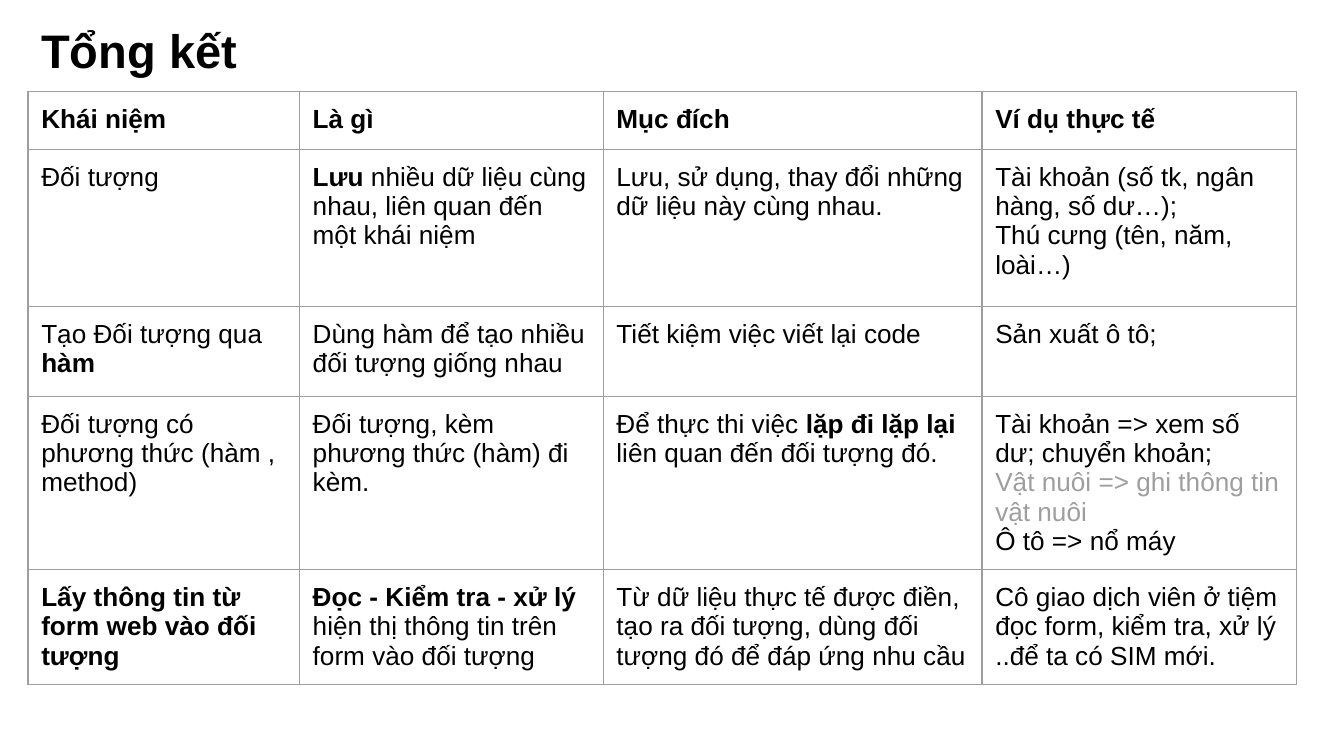
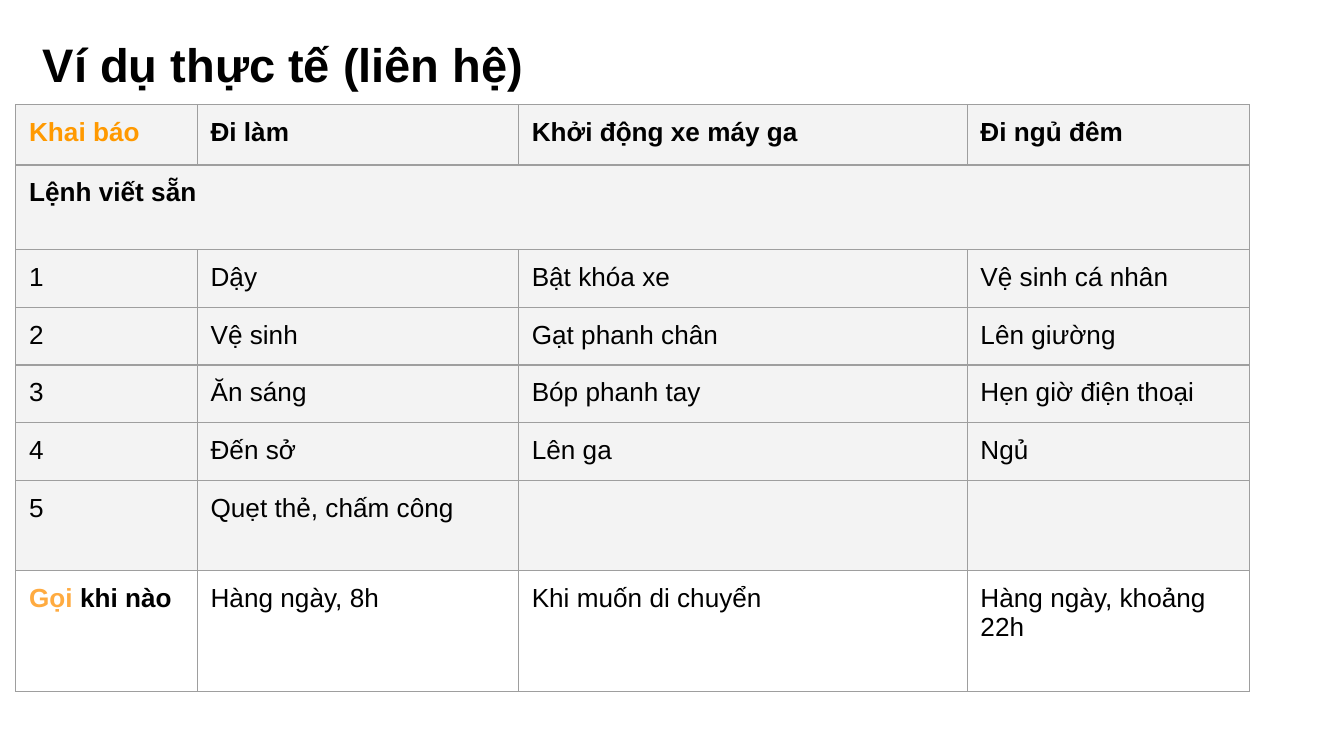
from dataclasses import dataclass
from typing import NamedTuple, Optional, Union

import lxml.etree
import pptx
import pptx.dml.color
import pptx.enum.text
import pptx.oxml.ns
import pptx.util
from pptx.util import Cm, Pt

COLORS = {
    "text": "000000",
    "muted": "9E9E9E",
    "border": "9E9E9E",
    "band": "F3F3F3",
    "declare": "FF9900",
    "call": "FFAB40",
}
FONT = "Arial"
TITLE_SIZE = Pt(25.2)
BODY_SIZE = Pt(14)
BORDER_WIDTH = Pt(0.75)
INSET = Cm(0.25)
TITLE_WIDTH, TITLE_HEIGHT = Cm(23.67), Cm(1.6)


class Run(NamedTuple):
    text: str
    bold: bool = False
    color: str = "text"


Paragraph = list[Run]
Cell = Union[str, Run, list[Paragraph]]


@dataclass
class Summary:
    """A titled slide with one table; a row with a single cell spans all columns."""
    title: str
    left: float
    top: float
    table_left: float
    columns: list[float]
    heights: list[float]
    rows: list[list[Cell]]
    banded_rows: int = 0


CONCEPTS = Summary(
    title="Tổng kết",
    left=0.53, top=0.13, table_left=0.53,
    columns=[5.13, 5.74, 7.16, 5.94],
    heights=[1.09, 2.97, 1.7, 1.07, 1.07],
    rows=[
        [Run(heading, True) for heading in ("Khái niệm", "Là gì", "Mục đích", "Ví dụ thực tế")],
        ["Đối tượng",
         [[Run("Lưu", True), Run(" nhiều dữ liệu cùng nhau, liên quan đến một khái niệm")]],
         "Lưu, sử dụng, thay đổi những dữ liệu này cùng nhau.",
         [[Run("Tài khoản (số tk, ngân hàng, số dư…);")],
          [Run("Thú cưng (tên, năm, loài…)")]]],
        [[[Run("Tạo Đối tượng qua "), Run("hàm", True)]],
         "Dùng hàm để tạo nhiều đối tượng giống nhau",
         "Tiết kiệm việc viết lại code",
         "Sản xuất ô tô;"],
        ["Đối tượng có phương thức (hàm , method)",
         "Đối tượng, kèm phương thức (hàm) đi kèm.",
         [[Run("Để thực thi việc "), Run("lặp đi lặp lại ", True),
           Run("liên quan đến đối tượng đó.")]],
         [[Run("Tài khoản => xem số dư; chuyển khoản;")],
          [Run("Vật nuôi => ghi thông tin vật nuôi", color="muted")],
          [Run("Ô tô => nổ máy")]]],
        [Run("Lấy thông tin từ form web vào đối tượng", True),
         [[Run("Đọc - Kiểm tra - xử lý ", True),
           Run("hiện thị thông tin trên form vào đối tượng")]],
         "Từ dữ liệu thực tế được điền, tạo ra đối tượng, dùng đối tượng đó để đáp ứng nhu cầu",
         "Cô giao dịch viên ở tiệm đọc form, kiểm tra, xử lý ..để ta có SIM mới."],
    ],
)

ROUTINES = Summary(
    title="Ví dụ thực tế (liên hệ)",
    left=0.56, top=0.38, table_left=0.3,
    columns=[3.43, 6.07, 8.48, 5.33],
    heights=[1.14, 1.6, *[1.09] * 4, 1.7, 2.29],
    banded_rows=7,
    rows=[
        [Run("Khai báo", True, "declare"), Run("Đi làm", True),
         Run("Khởi động xe máy ga", True), Run("Đi ngủ đêm", True)],
        [Run("Lệnh viết sẵn", True)],
        ["1", "Dậy", "Bật khóa xe", "Vệ sinh cá nhân"],
        ["2", "Vệ sinh", "Gạt phanh chân", "Lên giường"],
        ["3", "Ăn sáng", "Bóp phanh tay", "Hẹn giờ điện thoại"],
        ["4", "Đến sở", "Lên ga", "Ngủ"],
        ["5", "Quẹt thẻ, chấm công", "", ""],
        [[[Run("Gọi ", True, "call"), Run("khi nào", True)]],
         "Hàng ngày, 8h", "Khi muốn di chuyển", "Hàng ngày, khoảng 22h"],
    ],
)


def apply_format(target, values: dict) -> None:
    for attribute, value in values.items():
        setattr(target, attribute, value)


def rgb(color: str) -> pptx.dml.color.RGBColor:
    return pptx.dml.color.RGBColor.from_string(COLORS[color])


def write_text(frame, content: Cell, size: int) -> None:
    if isinstance(content, str):
        content = Run(content)
    paragraphs = [[content]] if isinstance(content, Run) else content
    for index, runs in enumerate(paragraphs):
        paragraph = frame.add_paragraph() if index else frame.paragraphs[0]
        paragraph.alignment = pptx.enum.text.PP_ALIGN.LEFT
        for part in filter(lambda run: run.text, runs):
            run = paragraph.add_run()
            run.text = part.text
            apply_format(run.font, {"name": FONT, "size": size, "bold": part.bold})
            run.font.color.rgb = rgb(part.color)


def format_cell(cell, fill: Optional[str]) -> None:
    """Set insets, fill and the four borders."""
    sides = ("left", "top", "right", "bottom")
    apply_format(cell, {f"margin_{side}": INSET for side in sides})
    if fill:
        cell.fill.solid()
        cell.fill.fore_color.rgb = rgb(fill)
    else:
        cell.fill.background()
    properties = cell._tc.get_or_add_tcPr()
    qn = pptx.oxml.ns.qn
    for position, edge in enumerate("LRTB"):
        line = lxml.etree.Element(qn(f"a:ln{edge}"), w=str(BORDER_WIDTH))
        paint = lxml.etree.SubElement(line, qn("a:solidFill"))
        lxml.etree.SubElement(paint, qn("a:srgbClr"), val=COLORS["border"])
        properties.insert(position, line)


def add_title(slide, summary: Summary) -> None:
    title = slide.shapes.title
    apply_format(title, {"left": Cm(summary.left), "top": Cm(summary.top),
                         "width": TITLE_WIDTH, "height": TITLE_HEIGHT})
    frame = title.text_frame
    apply_format(frame, {
        "margin_left": INSET, "margin_right": INSET,
        "margin_top": INSET, "margin_bottom": INSET,
        "word_wrap": True,
        "auto_size": pptx.enum.text.MSO_AUTO_SIZE.NONE,
        "vertical_anchor": pptx.enum.text.MSO_ANCHOR.BOTTOM,
    })
    write_text(frame, Run(summary.title, True), TITLE_SIZE)


def add_summary_table(slide, summary: Summary) -> None:
    table = slide.shapes.add_table(
        len(summary.rows), len(summary.columns),
        Cm(summary.table_left), Cm(summary.top) + TITLE_HEIGHT,
        Cm(sum(summary.columns)), Cm(sum(summary.heights))).table
    apply_format(table, {"first_row": False, "horz_banding": False})
    for column, width in zip(table.columns, summary.columns):
        column.width = Cm(width)
    for index, (row, height, contents) in enumerate(
            zip(table.rows, summary.heights, summary.rows)):
        row.height = Cm(height)
        cells = list(row.cells)
        for cell in cells:
            format_cell(cell, "band" if index < summary.banded_rows else None)
        if len(contents) == 1:
            cells[0].merge(cells[-1])
        for cell, content in zip(cells, contents):
            write_text(cell.text_frame, content, BODY_SIZE)


def main() -> None:
    deck = pptx.Presentation()
    apply_format(deck, {"slide_width": Cm(25.4), "slide_height": Cm(14.29)})
    title_only = deck.slide_layouts[5]
    for summary in (CONCEPTS, ROUTINES):
        slide = deck.slides.add_slide(title_only)
        add_title(slide, summary)
        add_summary_table(slide, summary)
    deck.save("out.pptx")


if __name__ == "__main__":
    main()
